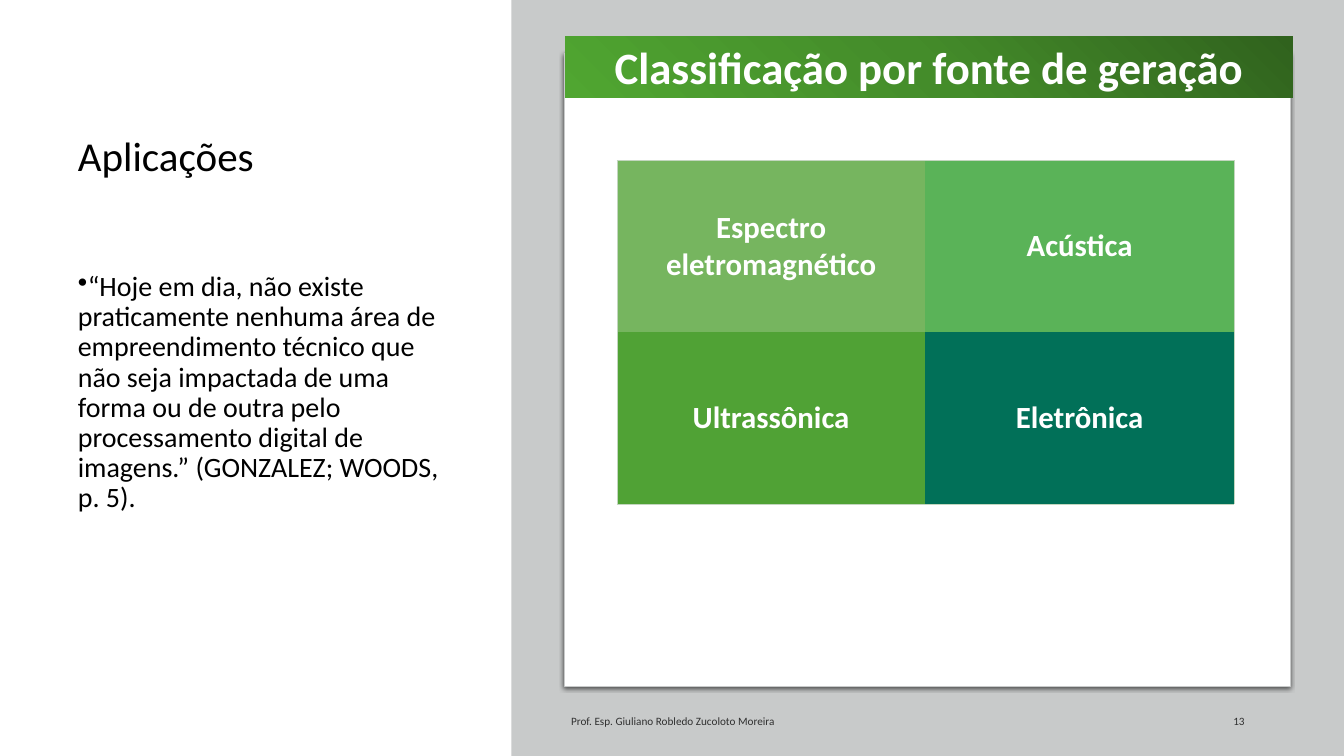
from lxml import etree
from pptx import Presentation
from pptx.dml.color import RGBColor
from pptx.enum.shapes import MSO_SHAPE
from pptx.enum.text import MSO_ANCHOR, PP_ALIGN
from pptx.oxml import parse_xml
from pptx.oxml.ns import qn
from pptx.util import Pt

RECT, ROUND = MSO_SHAPE.RECTANGLE, MSO_SHAPE.ROUNDED_RECTANGLE
TOP, MID = MSO_ANCHOR.TOP, MSO_ANCHOR.MIDDLE
LEFT, MIDDLE, RIGHT = PP_ALIGN.LEFT, PP_ALIGN.CENTER, PP_ALIGN.RIGHT
NS = 'xmlns:a="http://schemas.openxmlformats.org/drawingml/2006/main"'
WHITE, BLACK, GREY, EDGE = "FFFFFF", "000000", "C8CACA", "C3D6BF"


def color(code):
    """Turn a hex string into a colour."""
    return RGBColor.from_string(code)


def write(frame, text, size=12, ink=BLACK, bold=False, align=LEFT,
          anchor=TOP, lead=None, after=None, bullet=None, font="Calibri"):
    """Put one formatted paragraph into a text frame."""
    frame.word_wrap = True
    frame.vertical_anchor = anchor
    para = frame.paragraphs[0]
    if bullet:
        props = para._p.get_or_add_pPr()
        props.set("marL", "0")
        props.set("indent", str(-Pt(18)))
        etree.SubElement(props, qn("a:buChar")).set("char", bullet)
    para.alignment = align
    para.space_before = Pt(0)
    if lead:
        para.line_spacing = lead
    if after:
        para.space_after = Pt(after)
    run = para.add_run()
    run.text = text
    run.font.name, run.font.size, run.font.bold = font, Pt(size), bold
    run.font.color.rgb = color(ink)


class Page:
    """Hold the style and the current slide."""

    def __init__(self, slide):
        """Keep the slide to draw on."""
        self.shapes = slide.shapes

    def label(self, box, text, **style):
        """Add a text box."""
        item = self.shapes.add_textbox(*map(Pt, box))
        write(item.text_frame, text, **style)

    def block(self, box, fill, kind=RECT, line=None):
        """Add a flat filled shape."""
        item = self.shapes.add_shape(kind, *map(Pt, box))
        item.shadow.inherit = False
        item.fill.solid()
        item.fill.fore_color.rgb = color(fill)
        if line:
            item.line.color.rgb = color(line)
            item.line.width = Pt(0.75)
        else:
            item.line.fill.background()
        return item

    def card(self, box, fill, line):
        """Add a panel with a soft shadow below it."""
        item = self.block(box, fill, ROUND, line)
        item.adjustments[0] = 0
        glow = parse_xml(
            f'<a:outerShdw {NS} blurRad="{Pt(4.5)}" dist="{Pt(1.5)}" dir="5400000" '
            f'algn="ctr" rotWithShape="0"><a:srgbClr val="{BLACK}">'
            '<a:alpha val="63000"/></a:srgbClr></a:outerShdw>')
        item._element.spPr.find(qn("a:effectLst")).append(glow)

    def banner(self, box, text, stops, angle, **style):
        """Add a heading bar with a gradient fill."""
        item = self.block(box, WHITE)
        item.fill.gradient()
        item.fill.gradient_angle = angle
        ramp = item._element.spPr.find(qn("a:gradFill")).find(qn("a:gsLst"))
        for old in list(ramp):
            ramp.remove(old)
        for place, code in stops:
            ramp.append(parse_xml(
                f'<a:gs {NS} pos="{place * 1000}"><a:srgbClr val="{code}"/></a:gs>'))
        write(item.text_frame, text, **style)

    def grid(self, box, rows, **style):
        """Add a table of (text, fill) cells with an outer border."""
        high, wide = len(rows), len(rows[0])
        table = self.shapes.add_table(high, wide, *map(Pt, box)).table
        table.first_row = table.horz_banding = False
        for i, row in enumerate(rows):
            for j, (text, fill) in enumerate(row):
                cell = table.cell(i, j)
                cell.margin_left = cell.margin_right = Pt(10)
                cell.margin_top = cell.margin_bottom = Pt(4.5)
                cell.vertical_anchor = MID
                sides = {"L": j == 0, "R": j == wide - 1,
                         "T": i == 0, "B": i == high - 1}
                self.border(cell, sides)
                cell.fill.solid()
                cell.fill.fore_color.rgb = color(fill)
                write(cell.text_frame, text, anchor=None, **style)

    def border(self, cell, sides):
        """Draw the outer sides of a cell and clear the inner ones."""
        props = cell._tc.get_or_add_tcPr()
        for side, shown in sides.items():
            paint = (f'<a:solidFill><a:srgbClr val="{EDGE}"/></a:solidFill>'
                     if shown else "<a:noFill/>")
            props.append(parse_xml(
                f'<a:ln{side} {NS} w="{Pt(0.5)}">{paint}</a:ln{side}>'))


def main():
    """Build the slide and save it."""
    deck = Presentation()
    deck.slide_width, deck.slide_height = Pt(1440), Pt(810)
    page = Page(deck.slides.add_slide(deck.slide_layouts[6]))

    page.label((76.3, 74.2, 414, 191.5), "Aplicações", size=44, anchor=MID, lead=0.9)
    page.label((76.3, 288, 414, 447),
               "“Hoje em dia, não existe praticamente nenhuma área de "
               "empreendimento técnico que não seja impactada de uma forma ou de "
               "outra pelo processamento digital de imagens.” (GONZALEZ; WOODS, p. 5).",
               size=30, lead=0.9, bullet="•")

    page.block((548, 0, 892, 810), GREY)
    page.card((604.8, 57.6, 777.6, 677.5), WHITE, GREY)
    foot = dict(ink="303030", anchor=MID, after=6)
    page.label((604.8, 751, 486, 43.2),
               "Prof. Esp. Giuliano Robledo Zucoloto Moreira", **foot)
    page.label((1016.6, 751, 324, 43.2), "13", align=RIGHT, **foot)

    head = dict(ink=WHITE, bold=True, align=MIDDLE)
    page.grid((661, 172, 661, 368), [
        [("Espectro eletromagnético", "76B55F"), ("Acústica", "5AB358")],
        [("Ultrassônica", "50A235"), ("Eletrônica", "017058")],
    ], size=33, **head)
    page.banner((605.5, 38.9, 779.8, 65.5), "Classificação por fonte de geração",
                [(0, "30621D"), (50, "448C2A"), (100, "50A631")], 225,
                size=48, **head)
    deck.save("out.pptx")


if __name__ == "__main__":
    main()
